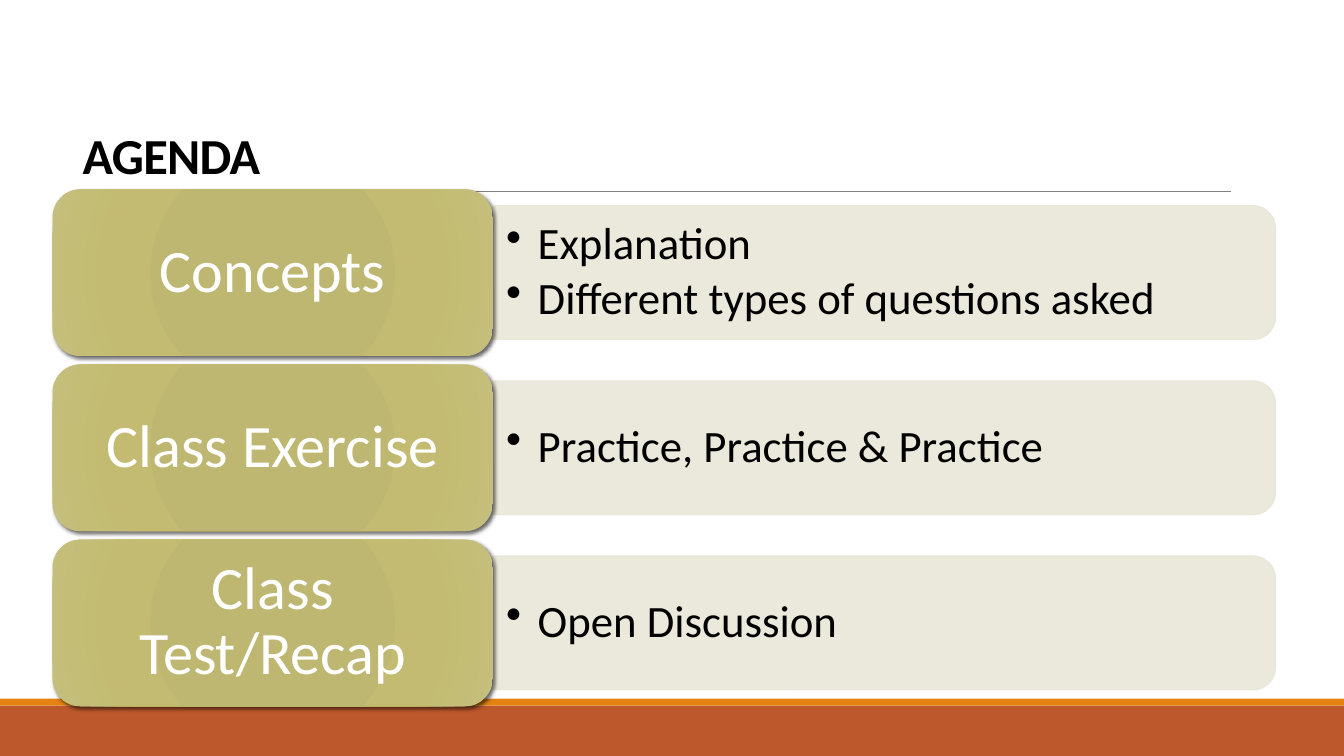
from dataclasses import dataclass

from lxml.etree import SubElement
from pptx import Presentation
from pptx.dml.color import RGBColor
from pptx.enum.shapes import MSO_CONNECTOR, MSO_SHAPE
from pptx.enum.text import MSO_ANCHOR, PP_ALIGN
from pptx.oxml import parse_xml
from pptx.oxml.ns import nsdecls, qn
from pptx.shapes.autoshape import Shape
from pptx.slide import Slide
from pptx.util import Pt

COLORS = {
    "black": "000000",
    "white": "FFFFFF",
    "rule": "808080",
    "footer": "BD582C",
    "footer_edge": "E48312",
    "panel": "E9E7D8",
}
TILE_STOPS = ((0, "BEB76E"), (34, "BEB771"), (70, "C3BB71"), (100, "C5BF7D"))

SLIDE_WIDTH, SLIDE_HEIGHT = 960, 540
TILE_LEFT, TILE_WIDTH, TILE_HEIGHT = 37.5, 314.5, 119
FIRST_TILE_TOP, ROW_PITCH = 135.3, 125.1
PANEL_WIDTH, PANEL_HEIGHT = 559, 95.4
PANEL_TEXT_WIDTH, PANEL_TEXT_HEIGHT = 554.4, 86


@dataclass(frozen=True)
class Box:
    left: float
    top: float
    width: float
    height: float

    def lengths(self) -> tuple[Pt, Pt, Pt, Pt]:
        return Pt(self.left), Pt(self.top), Pt(self.width), Pt(self.height)


@dataclass(frozen=True)
class AgendaRow:
    label: str
    points: tuple[str, ...]


AGENDA = (
    AgendaRow("Concepts", ("Explanation", "Different types of questions asked")),
    AgendaRow("Class Exercise", ("Practice, Practice & Practice",)),
    AgendaRow("Class Test/Recap", ("Open Discussion",)),
)


def write_text(shape: Shape, *lines: str, size: float, color: str = "black",
               bold: bool = False, align: PP_ALIGN = PP_ALIGN.LEFT,
               anchor: MSO_ANCHOR = MSO_ANCHOR.MIDDLE, line_spacing: float = 0.9,
               space_after: float = 0, tracking: float = 0, bullet_indent: float = 0,
               inset: tuple[float, float] = (7.2, 3.6)) -> None:
    frame = shape.text_frame
    frame.word_wrap = True
    frame.vertical_anchor = anchor
    frame.margin_left = frame.margin_right = Pt(inset[0])
    frame.margin_top = frame.margin_bottom = Pt(inset[1])
    for index, line in enumerate(lines):
        paragraph = frame.add_paragraph() if index else frame.paragraphs[0]
        paragraph.alignment = align
        paragraph.line_spacing = line_spacing
        paragraph.space_after = Pt(space_after)
        if bullet_indent:
            properties = paragraph._p.get_or_add_pPr()
            properties.set("marL", str(Pt(bullet_indent)))
            properties.set("indent", str(-Pt(bullet_indent)))
            SubElement(properties, qn("a:buChar"), char="•")
        run = paragraph.add_run()
        run.text = line
        run.font.name = "Calibri"
        run.font.size = Pt(size)
        run.font.bold = bold
        run.font.color.rgb = RGBColor.from_string(COLORS[color])
        if tracking:
            run._r.get_or_add_rPr().set("spc", str(round(tracking * 100)))


def add_filled_shape(slide: Slide, preset: MSO_SHAPE, box: Box, color: str) -> Shape:
    shape = slide.shapes.add_shape(preset, *box.lengths())
    shape.shadow.inherit = False
    shape.fill.solid()
    shape.fill.fore_color.rgb = RGBColor.from_string(COLORS[color])
    shape.line.fill.background()
    return shape


def add_panel(slide: Slide, center_y: float, points: tuple[str, ...]) -> None:
    left = TILE_LEFT + TILE_WIDTH
    center_x = left + PANEL_WIDTH / 2
    panel = add_filled_shape(
        slide, MSO_SHAPE.ROUND_2_SAME_RECTANGLE,
        Box(center_x - PANEL_HEIGHT / 2, center_y - PANEL_WIDTH / 2,
            PANEL_HEIGHT, PANEL_WIDTH), "panel")
    panel.rotation = 90
    panel.line.color.rgb = RGBColor.from_string(COLORS["panel"])
    panel.line.width = Pt(1)
    for color in panel._element.spPr.iter(qn("a:srgbClr")):
        SubElement(color, qn("a:alpha"), val="90000")
    text_box = slide.shapes.add_textbox(
        *Box(left, center_y - PANEL_TEXT_HEIGHT / 2,
             PANEL_TEXT_WIDTH, PANEL_TEXT_HEIGHT).lengths())
    write_text(text_box, *points, size=32, space_after=4.8,
               bullet_indent=22.5, inset=(9.6, 4.8))


def add_tile(slide: Slide, top: float, label: str) -> None:
    tile = add_filled_shape(slide, MSO_SHAPE.ROUNDED_RECTANGLE,
                            Box(TILE_LEFT, top, TILE_WIDTH, TILE_HEIGHT), "panel")
    properties = tile._element.spPr
    stops = "".join(
        f'<a:gs pos="{position * 1000}"><a:srgbClr val="{color}"/></a:gs>'
        for position, color in TILE_STOPS)
    gradient = parse_xml(
        f'<a:gradFill {nsdecls("a")} rotWithShape="1"><a:gsLst>{stops}</a:gsLst>'
        '<a:path path="circle"><a:fillToRect l="100000" t="100000" r="100000" '
        'b="100000"/></a:path></a:gradFill>')
    properties.replace(properties.find(qn("a:solidFill")), gradient)
    shadow = parse_xml(
        f'<a:outerShdw {nsdecls("a")} blurRad="{Pt(3)}" dist="{Pt(2)}" dir="2700000" '
        f'rotWithShape="0"><a:srgbClr val="{COLORS["black"]}"><a:alpha val="60000"/>'
        '</a:srgbClr></a:outerShdw>')
    properties.find(qn("a:effectLst")).append(shadow)
    write_text(tile, label, size=43, color="white", align=PP_ALIGN.CENTER,
               inset=(13, 6.5))


def add_background(slide: Slide) -> None:
    add_filled_shape(slide, MSO_SHAPE.RECTANGLE, Box(0, 504, SLIDE_WIDTH, 36), "footer")
    add_filled_shape(slide, MSO_SHAPE.RECTANGLE, Box(0, 499, SLIDE_WIDTH, 5), "footer_edge")
    rule = slide.shapes.add_connector(
        MSO_CONNECTOR.STRAIGHT, Pt(94), Pt(136.8), Pt(879), Pt(136.8))
    rule.line.color.rgb = RGBColor.from_string(COLORS["rule"])
    rule.line.width = Pt(0.5)
    SubElement(rule._element.spPr, qn("a:effectLst"))


def main() -> None:
    presentation = Presentation()
    presentation.slide_width = Pt(SLIDE_WIDTH)
    presentation.slide_height = Pt(SLIDE_HEIGHT)
    slide = presentation.slides.add_slide(presentation.slide_layouts[6])
    add_background(slide)
    title = slide.shapes.add_textbox(*Box(52, 55.4, 567, 80).lengths())
    write_text(title, "AGENDA", size=36, bold=True, anchor=MSO_ANCHOR.BOTTOM,
               line_spacing=0.85, tracking=-0.5)
    for index, row in enumerate(AGENDA):
        top = FIRST_TILE_TOP + index * ROW_PITCH
        add_panel(slide, top + TILE_HEIGHT / 2, row.points)
        add_tile(slide, top, row.label)
    presentation.save("out.pptx")


if __name__ == "__main__":
    main()
